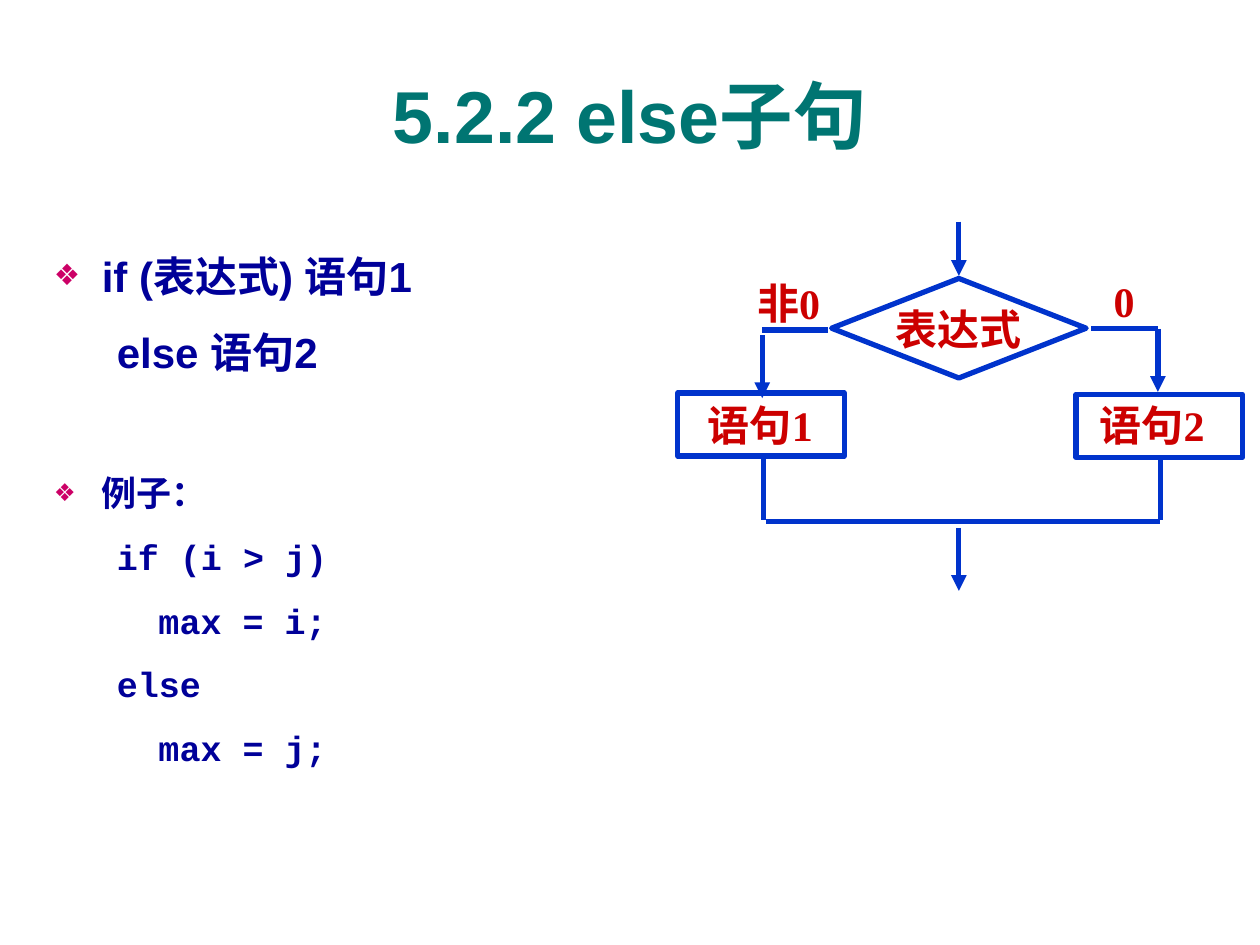
from pptx import Presentation
from pptx.dml.color import RGBColor
from pptx.enum.shapes import MSO_CONNECTOR, MSO_SHAPE
from pptx.enum.text import MSO_ANCHOR, PP_ALIGN
from pptx.oxml.ns import qn
from pptx.util import Inches, Pt
from lxml.etree import SubElement

COLORS = {
    "title": "007572",
    "body": "000099",
    "bullet": "CC0066",
    "line": "0033CC",
    "label": "CC0000",
    "back": "FFFFFF",
}


def rgb(name):
    return RGBColor.from_string(COLORS[name])


def add_bullet(para):
    props = para._p.get_or_add_pPr()
    color = SubElement(props, qn("a:buClr"))
    SubElement(color, qn("a:srgbClr"), val=COLORS["bullet"])
    SubElement(props, qn("a:buSzPct"), val="70000")
    SubElement(props, qn("a:buFont"), typeface="Arial")
    SubElement(props, qn("a:buChar"), char="❖")


def write(para, text, size=24, font="Times New Roman", color="label",
          align=PP_ALIGN.LEFT, before=0, spacing=None, margin=0, indent=0,
          bullet=False):
    para.alignment = align
    para.space_before = Pt(before)
    if spacing:
        para.line_spacing = spacing
    props = para._p.get_or_add_pPr()
    props.set("marL", str(Inches(margin)))
    props.set("indent", str(Inches(indent)))
    if bullet:
        add_bullet(para)
    run = para.add_run()
    run.text = text
    run.font.size = Pt(size)
    run.font.name = font
    run.font.bold = True
    run.font.color.rgb = rgb(color)


def add_box(slide, left, top, width, height, anchor=MSO_ANCHOR.TOP):
    box = slide.shapes.add_textbox(
        Inches(left), Inches(top), Inches(width), Inches(height))
    frame = box.text_frame
    frame.word_wrap = True
    frame.vertical_anchor = anchor
    return frame


def add_label(slide, text, left, top, width):
    write(add_box(slide, left, top, width, 0.5).paragraphs[0], text)


def add_list(slide, place, head, lines, size, before):
    frame = add_box(slide, *place)
    style = dict(size=size, color="body", before=before, spacing=1.2)
    write(frame.paragraphs[0], head, font="Arial", margin=0.38,
          indent=-0.38, bullet=True, **style)
    for text, font, margin in lines:
        write(frame.add_paragraph(), text, font=font, margin=margin, **style)


def add_node(slide, kind, left, top, width, height, fill=None):
    node = slide.shapes.add_shape(
        kind, Inches(left), Inches(top), Inches(width), Inches(height))
    node.shadow.inherit = False
    if fill:
        node.fill.solid()
        node.fill.fore_color.rgb = rgb(fill)
    else:
        node.fill.background()
    node.line.color.rgb = rgb("line")
    node.line.width = Pt(3)
    return node


def add_line(slide, start, end, arrow=False):
    line = slide.shapes.add_connector(
        MSO_CONNECTOR.STRAIGHT, *map(Inches, start + end))
    line.line.color.rgb = rgb("line")
    line.line.width = Pt(3)
    if arrow:
        SubElement(line.line._get_or_add_ln(), qn("a:tailEnd"),
                   type="triangle")
    SubElement(line._element.spPr, qn("a:effectLst"))


def add_flow(slide):
    process = MSO_SHAPE.FLOWCHART_PROCESS
    add_node(slide, process, 5.38, 3.12, 1.32, 0.5)
    add_node(slide, process, 8.54, 3.13, 1.32, 0.5)
    test = add_node(slide, MSO_SHAPE.FLOWCHART_DECISION,
                    6.6, 2.21, 2.02, 0.79, fill="back")
    frame = test.text_frame
    frame.word_wrap = False
    frame.vertical_anchor = MSO_ANCHOR.MIDDLE
    write(frame.paragraphs[0], "表达式", align=PP_ALIGN.CENTER)

    for start, end in (
        ((6.05, 2.62), (6.57, 2.62)),
        ((8.66, 2.61), (9.19, 2.61)),
        ((6.06, 3.63), (6.06, 4.13)),
        ((9.21, 3.63), (9.21, 4.13)),
        ((6.08, 4.14), (9.21, 4.14)),
    ):
        add_line(slide, start, end)
    for left, top, end in (
        (7.61, 1.76, 2.19),
        (6.05, 2.66, 3.16),
        (9.19, 2.61, 3.11),
        (7.61, 4.19, 4.69),
    ):
        add_line(slide, (left, top), (left, end), arrow=True)

    for label in (
        ("语句1", 5.52, 3.12, 1.2),
        ("语句2", 8.63, 3.12, 1.2),
        ("非0", 5.91, 2.15, 0.85),
        ("0", 8.74, 2.14, 0.44),
    ):
        add_label(slide, *label)


def main():
    deck = Presentation()
    deck.slide_width, deck.slide_height = Inches(10), Inches(7.5)
    slide = deck.slides.add_slide(deck.slide_layouts[6])

    title = add_box(slide, 0.33, 0.28, 9.34, 1.25, MSO_ANCHOR.MIDDLE)
    write(title.paragraphs[0], "5.2.2 else子句", size=42, font="Arial",
          color="title", align=PP_ALIGN.CENTER)
    add_list(slide, (0.33, 1.86, 4.94, 5.24), "if (表达式) 语句1",
             [("else 语句2", "Arial", 0.5)], size=24, before=9)
    add_flow(slide)
    code = [("if (i > j)", 0.5), ("max = i;", 0.83),
            ("else", 0.5), ("max = j;", 0.83)]
    add_list(slide, (0.33, 3.63, 5.96, 3.31), "例子：",
             [(text, "Courier New", margin) for text, margin in code],
             size=20, before=7.5)
    deck.save("out.pptx")


if __name__ == "__main__":
    main()
